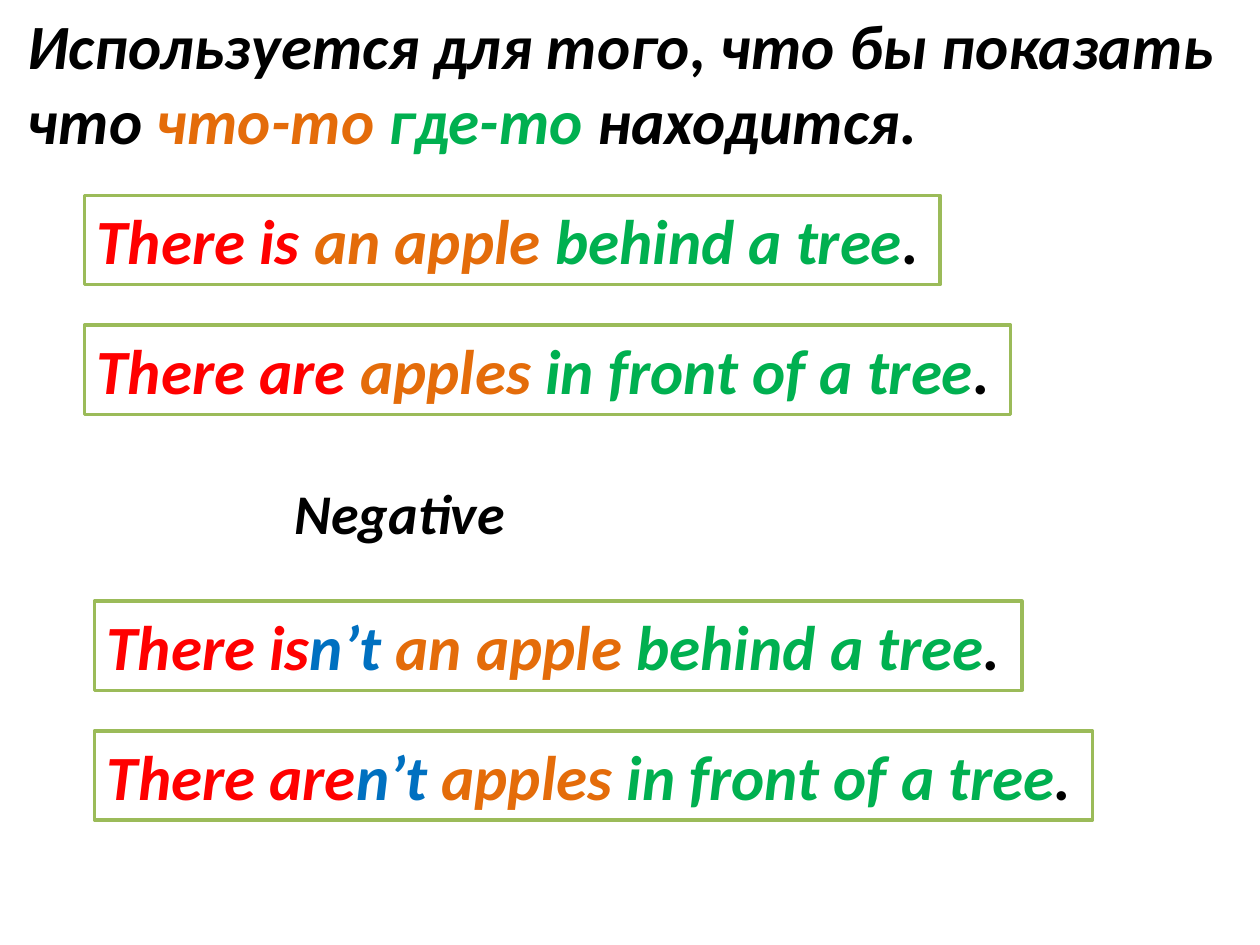
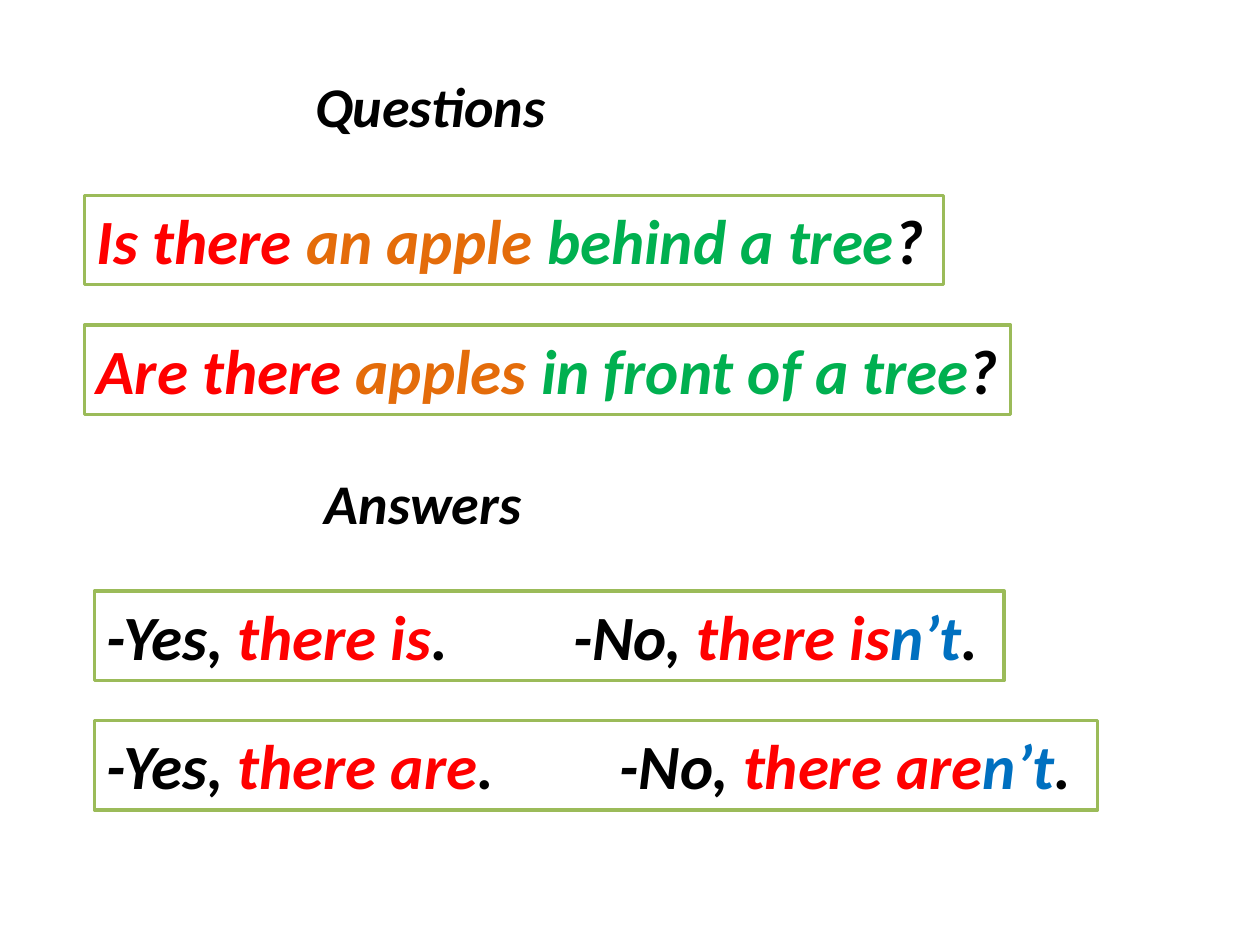
import pptx
import pptx.dml.color
import pptx.enum.shapes
import pptx.enum.text
import pptx.oxml.ns
import pptx.util
import lxml.etree

# The slide is a grid of 10 columns by 7.5 rows, one inch each.
COLUMNS, ROWS = 10, 7.5
BOX_HEIGHT, BOX_PITCH = 0.71, 1.03
HEADING_HEIGHT = 0.64
FONT = "Calibri"
SENTENCE_SIZE, HEADING_SIZE = 36, 32

BLACK, WHITE, BORDER = "000000", "FFFFFF", "9BBB59"
VERB, NEGATION, THING, PLACE = "FF0000", "0070C0", "E46C0A", "00B050"

APPLE = [("an apple ", THING), ("behind a tree", PLACE)]
APPLES = [("apples ", THING), ("in front of a tree", PLACE)]
FULL_STOP, QUESTION_MARK = (".", BLACK), ("?", BLACK)


def color(hex_string):
    return pptx.dml.color.RGBColor.from_string(hex_string)


def place(shape, left, top, width, height):
    shape.left, shape.top, shape.width, shape.height = map(
        pptx.util.Inches, (left, top, width, height))


def write(shape, runs, size, wrap=False):
    """Fill a shape with one left-aligned paragraph of (text, colour) runs."""
    frame = shape.text_frame
    frame.word_wrap = wrap
    frame.auto_size = pptx.enum.text.MSO_AUTO_SIZE.SHAPE_TO_FIT_TEXT
    frame.vertical_anchor = pptx.enum.text.MSO_ANCHOR.TOP
    paragraph = frame.paragraphs[0]
    paragraph.alignment = pptx.enum.text.PP_ALIGN.LEFT
    font = paragraph.font
    font.name, font.size = FONT, pptx.util.Pt(size)
    font.bold = font.italic = True
    for text, run_color in runs:
        run = paragraph.add_run()
        run.text = text
        run.font.color.rgb = color(run_color)
    return paragraph


def add_tab_stop(paragraph, position):
    properties = paragraph._p.get_or_add_pPr()
    tabs = lxml.etree.Element(pptx.oxml.ns.qn("a:tabLst"))
    lxml.etree.SubElement(tabs, pptx.oxml.ns.qn("a:tab"),
                          pos=str(pptx.util.Inches(position)), algn="l")
    properties.insert(0, tabs)


def add_title(slide, runs, size, area, wrap=False):
    title = slide.shapes.title
    place(title, *area)
    write(title, runs, size, wrap)


def add_heading(slide, text, left, top, width):
    heading = slide.shapes.add_textbox(0, 0, 0, 0)
    place(heading, left, top, width, HEADING_HEIGHT)
    write(heading, [(text, BLACK)], HEADING_SIZE)


def add_sentence_boxes(slide, left, top, sentences):
    """Stack framed sentences, each given as (width, runs, tab position)."""
    for row, (width, runs, tab) in enumerate(sentences):
        box = slide.shapes.add_shape(
            pptx.enum.shapes.MSO_SHAPE.RECTANGLE, 0, 0, 0, 0)
        place(box, left, top + row * BOX_PITCH, width, BOX_HEIGHT)
        box.shadow.inherit = False
        box.fill.solid()
        box.fill.fore_color.rgb = color(WHITE)
        box.line.color.rgb = color(BORDER)
        box.line.width = pptx.util.Pt(2)
        paragraph = write(box, runs, SENTENCE_SIZE)
        if tab:
            add_tab_stop(paragraph, tab)


def short_answers(verb):
    return [("-Yes,", BLACK), (f" there {verb}", VERB), (".\t-No, ", BLACK),
            (f"there {verb}", VERB), ("n’t", NEGATION), FULL_STOP]


def build_statements(slide):
    add_title(slide, [
        ("Используется для того, что бы показать что ", BLACK),
        ("что-то ", THING), ("где-то", PLACE), (" находится.", BLACK),
    ], SENTENCE_SIZE, (0.12, 0, 9.69, 1.31), wrap=True)
    add_sentence_boxes(slide, 0.67, 1.55, [
        (6.79, [("There is ", VERB), *APPLE, FULL_STOP], None),
        (7.35, [("There are ", VERB), *APPLES, FULL_STOP], None),
    ])
    add_heading(slide, "Negative", 2.24, 3.75, 1.89)
    add_sentence_boxes(slide, 0.75, 4.77, [
        (7.36, [("There is", VERB), ("n’t ", NEGATION), *APPLE, FULL_STOP], None),
        (7.92, [("There are", VERB), ("n’t ", NEGATION), *APPLES, FULL_STOP], None),
    ])


def build_questions(slide):
    add_title(slide, [("Questions", BLACK)], HEADING_SIZE,
              (2.4, 0.52, 2.05, HEADING_HEIGHT))
    add_sentence_boxes(slide, 0.67, 1.55, [
        (6.82, [("Is there ", VERB), *APPLE, QUESTION_MARK], None),
        (7.35, [("Are there ", VERB), *APPLES, QUESTION_MARK], None),
    ])
    add_heading(slide, "Answers", 2.48, 3.67, 1.78)
    add_sentence_boxes(slide, 0.75, 4.69, [
        (7.22, short_answers("is"), 3.7),
        (7.96, short_answers("are"), 4.07),
    ])


def main():
    presentation = pptx.Presentation()
    presentation.slide_width = pptx.util.Inches(COLUMNS)
    presentation.slide_height = pptx.util.Inches(ROWS)
    title_only = presentation.slide_layouts[5]
    for build in (build_statements, build_questions):
        build(presentation.slides.add_slide(title_only))
    presentation.save("out.pptx")


if __name__ == "__main__":
    main()
